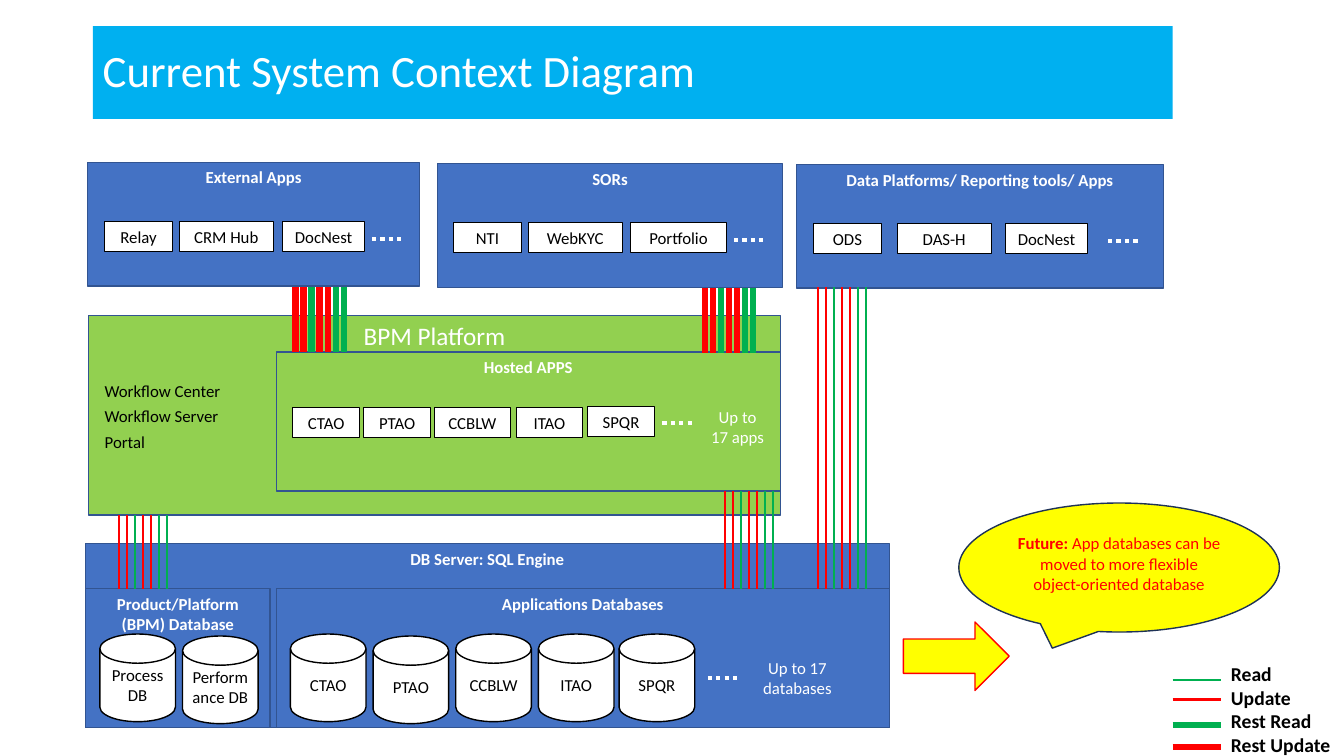
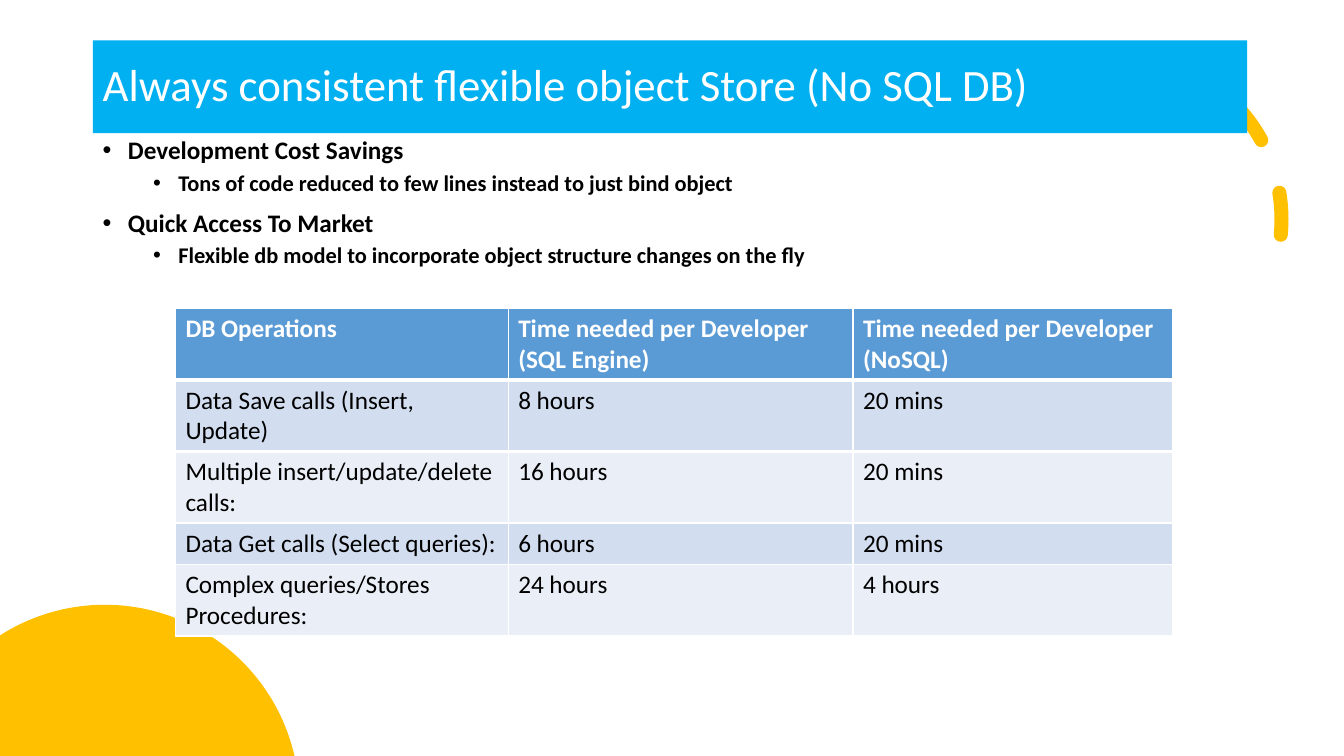
"""Build two slides on a system context and an object store."""
from math import atan2, cos, sin

from pptx import Presentation
from pptx.dml.color import RGBColor
from pptx.enum.dml import MSO_LINE
from pptx.enum.shapes import MSO_CONNECTOR, MSO_SHAPE
from pptx.enum.text import MSO_ANCHOR, PP_ALIGN
from pptx.oxml.ns import qn
from pptx.util import Inches, Pt
from lxml.etree import SubElement

WHITE = RGBColor(0xFF, 0xFF, 0xFF)
BLACK = RGBColor(0, 0, 0)
SKY = RGBColor(0x00, 0xB0, 0xF0)
BLUE = RGBColor(0x44, 0x72, 0xC4)
NAVY = RGBColor(0x32, 0x54, 0x91)
DARK = RGBColor(0x1E, 0x32, 0x56)
LIME = RGBColor(0x92, 0xD0, 0x50)
GREEN = RGBColor(0x00, 0xB0, 0x50)
RED = RGBColor(0xFF, 0, 0)
YELLOW = RGBColor(0xFF, 0xFF, 0)
GOLD = RGBColor(0xFF, 0xC0, 0)
HEAD = RGBColor(0x5B, 0x9B, 0xD5)
BANDS = (RGBColor(0xD2, 0xDE, 0xEF), RGBColor(0xEA, 0xEF, 0xF7))

PLAIN = {"name": "Calibri", "size": Pt(12), "bold": False}
STRONG = {**PLAIN, "bold": True}
LARGE = {**PLAIN, "size": Pt(18)}
TITLE = {**PLAIN, "size": Pt(32)}
LEFT, MID = PP_ALIGN.LEFT, PP_ALIGN.CENTER
TOP, HALF = MSO_ANCHOR.TOP, MSO_ANCHOR.MIDDLE
RECT, DISK = MSO_SHAPE.RECTANGLE, MSO_SHAPE.FLOWCHART_MAGNETIC_DISK
WIRES = (RED, RED, GREEN, RED, RED, GREEN, GREEN)
PITCH = 0.08


def apply(item, vals):
    """Set each named attribute of an item."""
    for key, val in vals.items():
        setattr(item, key, val)


def write(par, text, ink, font):
    """Add a run with its font to a paragraph."""
    run = par.add_run()
    run.text = text
    apply(run.font, font)
    run.font.color.rgb = ink


def paint(shape, fill, edge=None, width=1):
    """Give a shape a flat fill and an optional edge."""
    shape.shadow.inherit = False
    shape.fill.solid()
    shape.fill.fore_color.rgb = fill
    shape.line.fill.background()
    if edge is not None:
        shape.line.color.rgb = edge
        shape.line.width = Pt(width)


def block(slide, area, fill, edge=None, text="", ink=WHITE, font=PLAIN,
          kind=RECT, width=1, align=MID, anchor=HALF):
    """Draw a preset shape with one paragraph."""
    shape = slide.shapes.add_shape(kind, *map(Inches, area))
    paint(shape, fill, edge, width)
    frame = shape.text_frame
    apply(frame, {"word_wrap": True, "vertical_anchor": anchor})
    frame.paragraphs[0].alignment = align
    if text:
        write(frame.paragraphs[0], text, ink, font)
    return shape


def title(slide, text, top, width):
    """Draw the title band."""
    area = (0.92, top, width, 0.92)
    band = block(slide, area, SKY, text=text, font=TITLE, align=LEFT)
    band.text_frame.paragraphs[0].line_spacing = 0.9


def panel(slide, area, text, fill=BLUE, font=STRONG):
    """Draw a panel with its heading at the top."""
    block(slide, area, fill, NAVY, text, font=font, anchor=TOP)


def chips(slide, top, items):
    """Draw a row of white labels."""
    for left, width, text in items:
        block(slide, (left, top, width, 0.3), WHITE, BLACK, text, BLACK, width=0.75)


def line(slide, start, end, ink, width, dash=None):
    """Draw a straight line."""
    ends = map(Inches, (*start, *end))
    link = slide.shapes.add_connector(MSO_CONNECTOR.STRAIGHT, *ends)
    link.line.color.rgb = ink
    apply(link.line, {"width": Pt(width), "dash_style": dash})
    SubElement(link.element.spPr, qn("a:effectLst"))


def dots(slide, left, top, width=0.33):
    """Draw the dots that end a row."""
    line(slide, (left, top), (left + width, top), WHITE, 3, MSO_LINE.ROUND_DOT)


def wires(slide, left, top, end, width):
    """Draw a bundle of upright lines."""
    for step, ink in enumerate(WIRES):
        spot = left + step * PITCH
        line(slide, (spot, top), (spot, end), ink, width)


def note(slide, area, lines, font, wrap=True):
    """Draw a text box of black lines."""
    frame = slide.shapes.add_textbox(*map(Inches, area)).text_frame
    frame.word_wrap = wrap
    for step, text in enumerate(lines):
        par = frame.add_paragraph() if step else frame.paragraphs[0]
        write(par, text, BLACK, font)


def legend(slide):
    """Draw the key to the line colours."""
    for top, ink, width in ((6.75, GREEN, 1.5), (6.94, RED, 1.5),
                            (7.19, GREEN, 4.5), (7.41, RED, 4.5)):
        line(slide, (11.63, top), (12.11, top), ink, width)
    names = ("Read", "Update", "Rest Read", "Rest Update")
    note(slide, (12.11, 6.52, 1.22, 0.98), names, {**STRONG, "size": Pt(14)}, False)


def future(slide):
    """Draw the arrow and the callout."""
    block(slide, (8.96, 6.17, 1.05, 0.68), YELLOW, RED, kind=MSO_SHAPE.RIGHT_ARROW)
    cloud = block(slide, (9.51, 4.99, 3.18, 1.28), YELLOW, DARK, "Future: ",
                  RED, STRONG, MSO_SHAPE.OVAL_CALLOUT)
    frame = cloud.text_frame
    frame.margin_bottom = Inches(0.13)
    write(frame.paragraphs[0], "App databases can be moved to more flexible "
          "object-oriented database", RED, PLAIN)


def stores(slide):
    """Draw the database server."""
    panel(slide, (0.85, 5.39, 7.97, 1.83), "DB Server: SQL Engine")
    panel(slide, (0.85, 5.84, 1.83, 1.38), "Product/Platform (BPM) Database")
    panel(slide, (2.74, 5.84, 6.08, 1.38), "Applications Databases")
    for left, top, text in (
            (0.99, 6.29, "Process DB"), (1.81, 6.31, "Performance DB"),
            (2.88, 6.29, "CTAO"), (3.7, 6.31, "PTAO"), (4.52, 6.29, "CCBLW"),
            (5.34, 6.29, "ITAO"), (6.14, 6.29, "SPQR")):
        block(slide, (left, top, 0.75, 0.87), WHITE, BLACK, text, BLACK, kind=DISK)
    dots(slide, 7.02, 6.73)
    block(slide, (7.38, 6.51, 1.06, 0.43), BLUE, text="Up to 17 databases")


def platform(slide):
    """Draw the platform and its hosted apps."""
    panel(slide, (0.88, 3.13, 6.86, 1.98), "BPM Platform", LIME, LARGE)
    panel(slide, (2.74, 3.49, 5, 1.38), "Hosted APPS", LIME)
    chips(slide, 4.04, ((2.9, 0.67, "CTAO"), (3.61, 0.66, "PTAO"),
                        (4.31, 0.75, "CCBLW"), (5.12, 0.66, "ITAO")))
    chips(slide, 4.03, ((5.83, 0.66, "SPQR"),))
    dots(slide, 6.57, 4.2, 0.3)
    block(slide, (6.94, 4.02, 0.75, 0.43), LIME, text="Up to 17 apps")
    for step, text in enumerate(("Workflow Center", "Workflow Server", "Portal")):
        note(slide, (0.94, 3.73 + step * 0.25, 1.43, 0.3), (text,), PLAIN)


def sources(slide):
    """Draw the three panels of outer systems."""
    for left, top, width, text, end, items in (
            (0.87, 1.61, 3.29, "External Apps", 3.69,
             ((1.04, 0.67, "Relay"), (1.78, 0.93, "CRM Hub"), (2.8, 0.82, "DocNest"))),
            (4.34, 1.62, 3.42, "SORs", 7.28,
             ((4.5, 0.67, "NTI"), (5.24, 0.93, "WebKYC"), (6.25, 0.96, "Portfolio"))),
            (7.9, 1.63, 3.64, "Data Platforms/ Reporting tools/ Apps", 10.99,
             ((8.07, 0.67, "ODS"), (8.9, 0.93, "DAS-H"), (9.97, 0.82, "DocNest")))):
        panel(slide, (left, top, width, 1.23), text)
        chips(slide, top + 0.59, items)
        dots(slide, end, top + 0.76)


def context(slide):
    """Fill the system context slide."""
    title(slide, "Current System Context Diagram", 0.26, 10.71)
    for draw in (legend, stores, future, platform, sources):
        draw(slide)
    for bundle in ((7.19, 4.87, 5.84, 1.5), (1.18, 5.11, 5.84, 1.5),
                   (8.11, 2.85, 5.84, 1.5), (2.93, 2.85, 3.49, 4.5),
                   (6.99, 2.86, 3.5, 4.5)):
        wires(slide, *bundle)


def decor(slide):
    """Draw the dashed arc and the golden disk."""
    area = map(Inches, (9.44, 0.54, 3.27, 3.27))
    arc = slide.shapes.add_shape(MSO_SHAPE.ARC, *area)
    arc.shadow.inherit = False
    arc.fill.background()
    arc.rotation = 66.1
    arc.adjustments[0] = 144.42
    arc.element.spPr.xfrm.set("flipH", "1")
    arc.line.color.rgb = GOLD
    apply(arc.line, {"width": Pt(10), "dash_style": MSO_LINE.DASH})
    arc.element.spPr.find(qn("a:ln")).set("cap", "rnd")

    mid, low, size, count = 1.04, 7.93, 1.93, 60
    start, end = atan2(6.31 - low, -mid), atan2(7.5 - low, 2.92 - mid)
    turns = [start + (end - start) * step / count for step in range(count + 1)]
    rim = [(Inches(max(0, mid + size * cos(turn))), Inches(low + size * sin(turn)))
           for turn in turns]
    pen = slide.shapes.build_freeform(0, Inches(7.5))
    pen.add_line_segments(rim)
    paint(pen.convert_to_shape(), GOLD)


def bullets(slide, items):
    """Draw a list of bullets on two levels."""
    area = map(Inches, (0.92, 1.32, 11.62, 1.5))
    frame = slide.shapes.add_textbox(*area).text_frame
    frame.word_wrap = True
    for step, (level, text) in enumerate(items):
        par = frame.add_paragraph() if step else frame.paragraphs[0]
        prop = par._p.get_or_add_pPr()
        prop.set("marL", str(Inches(0.25 + level * 0.5)))
        prop.set("indent", str(Inches(-0.25)))
        SubElement(prop, qn("a:buFont"), typeface="Arial")
        SubElement(prop, qn("a:buChar"), char="•")
        gap = (5 if level else 10) if step else 0
        apply(par, {"level": level, "line_spacing": 0.9, "space_before": Pt(gap)})
        write(par, text, BLACK, {**STRONG, "size": Pt(18 - 2 * level)})


def rule(cell, side, width):
    """Draw a white border on one side of a cell."""
    edge = SubElement(cell._tc.get_or_add_tcPr(), qn(side), w=str(Pt(width)))
    SubElement(SubElement(edge, qn("a:solidFill")), qn("a:srgbClr"), val=str(WHITE))


def grid(slide, rows, widths, heights):
    """Draw a table with a header and banded rows."""
    area = map(Inches, (1.74, 3.06, sum(widths), sum(heights)))
    table = slide.shapes.add_table(len(rows), len(widths), *area).table
    for col, width in zip(table.columns, widths):
        col.width = Inches(width)
    for step, (row, height, texts) in enumerate(zip(table.rows, heights, rows)):
        row.height = Inches(height)
        for cell, text in zip(row.cells, texts):
            if step < 2:
                rule(cell, "a:lnT" if step else "a:lnB", 3)
            cell.fill.solid()
            cell.fill.fore_color.rgb = BANDS[(step - 1) % 2] if step else HEAD
            write(cell.text_frame.paragraphs[0], text, BLACK if step else WHITE,
                  {**LARGE, "bold": not step})


def store(slide):
    """Fill the object store slide."""
    decor(slide)
    title(slide, "Always consistent flexible object Store (No SQL DB)", 0.4, 11.45)
    bullets(slide, (
        (0, "Development Cost Savings"),
        (1, "Tons of code reduced to few lines instead to just bind object"),
        (0, "Quick Access To Market"),
        (1, "Flexible db model to incorporate object structure changes on the fly")))
    grid(slide, (
        ("DB Operations", "Time needed per Developer (SQL Engine)",
         "Time needed per Developer (NoSQL)"),
        ("Data Save calls (Insert, Update)", "8 hours", "20 mins"),
        ("Multiple insert/update/delete calls:", "16 hours", "20 mins"),
        ("Data Get calls (Select queries):", "6 hours", "20 mins"),
        ("Complex queries/Stores Procedures:", "24 hours", "4 hours")),
        (3.3, 3.42, 3.17), (0.71, 0.71, 0.71, 0.41, 0.71))


def main():
    """Build and save the deck."""
    deck = Presentation()
    apply(deck, {"slide_width": Inches(13.33), "slide_height": Inches(7.5)})
    for draw in (context, store):
        draw(deck.slides.add_slide(deck.slide_layouts[6]))
    deck.save("out.pptx")


if __name__ == "__main__":
    main()
